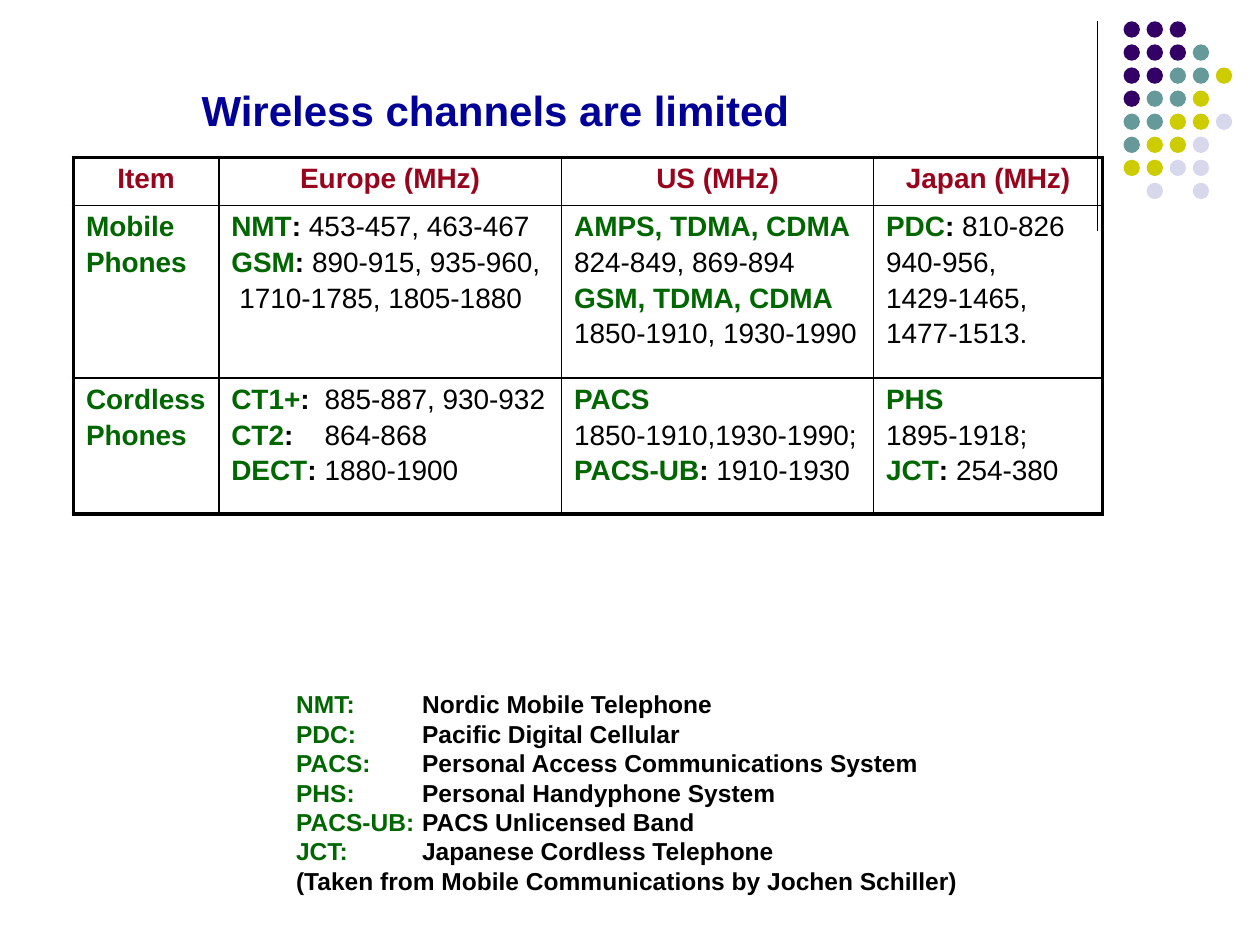
from dataclasses import dataclass

from lxml import etree
from pptx import Presentation
from pptx.dml.color import RGBColor
from pptx.enum.shapes import MSO_CONNECTOR, MSO_SHAPE
from pptx.enum.text import MSO_ANCHOR, MSO_AUTO_SIZE, PP_ALIGN
from pptx.oxml.ns import qn
from pptx.util import Cm, Pt

LEFT, CENTER = PP_ALIGN.LEFT, PP_ALIGN.CENTER
TOP, MIDDLE = MSO_ANCHOR.TOP, MSO_ANCHOR.MIDDLE
NO_FIT = MSO_AUTO_SIZE.NONE
OVAL, STRAIGHT = MSO_SHAPE.OVAL, MSO_CONNECTOR.STRAIGHT

BLACK, GREEN, RED, NAVY = "000000", "006600", "98041D", "000099"
DOT_COLORS = {"P": "330066", "T": "669999", "Y": "CCCC00", "L": "D8D8EC"}
DOT_ROWS = ("PPP", "PPPT", "PPTTY", "PTTY", "TTYYL", "TYYL", "YYLL", " L L")


@dataclass
class Entry:
    """A line in a cell: green key, colon when a value follows, plain value."""
    key: str = ""
    value: str = ""
    tab: float = 0
    indent: float = 0


@dataclass
class Border:
    side: str
    width: float


HEADERS = ("Item", "Europe (MHz)", "US (MHz)", "Japan (MHz)")
COL_WIDTHS = (2.93, 6.91, 6.29, 4.62)
ROW_HEIGHTS = (0.97, 3.48, 2.74)
ROWS = (
    (
        (Entry("Mobile"), Entry("Phones")),
        (Entry("NMT", "453-457, 463-467"),
         Entry("GSM", "890-915, 935-960,"),
         Entry(value="1710-1785, 1805-1880", indent=0.16)),
        (Entry("AMPS, TDMA, CDMA"), Entry(value="824-849, 869-894"),
         Entry("GSM, TDMA, CDMA"), Entry(value="1850-1910, 1930-1990")),
        (Entry("PDC", "810-826"), Entry(value="940-956,"),
         Entry(value="1429-1465,"), Entry(value="1477-1513.")),
    ),
    (
        (Entry("Cordless"), Entry("Phones")),
        (Entry("CT1+", "885-887, 930-932", tab=1.88),
         Entry("CT2", "864-868", tab=1.88),
         Entry("DECT", "1880-1900", tab=1.88)),
        (Entry("PACS"), Entry(value="1850-1910,1930-1990;"),
         Entry("PACS-UB", "1910-1930")),
        (Entry("PHS"), Entry(value="1895-1918;"), Entry("JCT", "254-380")),
    ),
)
LEGEND = (
    ("NMT:", "Nordic Mobile Telephone"),
    ("PDC:", "Pacific Digital Cellular"),
    ("PACS:", "Personal Access Communications System"),
    ("PHS:", "Personal Handyphone System"),
    ("PACS-UB:", "PACS Unlicensed Band"),
    ("JCT:", "Japanese Cordless Telephone"),
)
SOURCE = "(Taken from Mobile Communications by Jochen Schiller)"


def rgb(color: str) -> RGBColor:
    return RGBColor.from_string(color)


def set_all(obj, values: dict) -> None:
    for name, value in values.items():
        setattr(obj, name, value)


def add_run(p, text: str, size: float, color: str, bold: bool = True) -> None:
    r = p.add_run()
    r.text = text
    set_all(r.font, {"name": "Arial", "size": Pt(size), "bold": bold})
    r.font.color.rgb = rgb(color)


def add_tab_stop(p, pos: float) -> None:
    tabs = etree.SubElement(p._p.get_or_add_pPr(), qn("a:tabLst"))
    etree.SubElement(tabs, qn("a:tab"), pos=str(Cm(pos)), algn="l")


def next_paragraph(tf, index: int):
    return tf.add_paragraph() if index else tf.paragraphs[0]


def add_title(s) -> None:
    title = s.shapes.title
    set_all(title, {"left": Cm(3.81), "top": Cm(1.27),
                    "width": Cm(13.54), "height": Cm(1.9)})
    tf = title.text_frame
    set_all(tf, {"vertical_anchor": MIDDLE, "auto_size": NO_FIT, "word_wrap": True})
    p = tf.paragraphs[0]
    p.alignment = LEFT
    add_run(p, "Wireless channels are limited", 24, NAVY)


def add_corner_decoration(s) -> None:
    line = s.shapes.add_connector(STRAIGHT, Cm(22.12), Cm(0.43), Cm(22.12), Cm(4.65))
    line.line.color.rgb = rgb(BLACK)
    line.line.width = Pt(0.75)
    etree.SubElement(line._element.spPr, qn("a:effectLst"))
    pitch, size = 0.465, 0.33
    for row, codes in enumerate(DOT_ROWS):
        for col, code in enumerate(codes):
            if code not in DOT_COLORS:
                continue
            dot = s.shapes.add_shape(OVAL, Cm(22.65 + col * pitch),
                                     Cm(0.43 + row * pitch), Cm(size), Cm(size))
            dot.shadow.inherit = False
            dot.fill.solid()
            dot.fill.fore_color.rgb = rgb(DOT_COLORS[code])
            dot.line.fill.background()


def set_border(cell, border: Border) -> None:
    ln = etree.SubElement(cell._tc.get_or_add_tcPr(), qn(f"a:ln{border.side}"),
                          w=str(Pt(border.width)))
    fill = etree.SubElement(ln, qn("a:solidFill"))
    etree.SubElement(fill, qn("a:srgbClr"), val=BLACK)


def fill_cell(cell, entries: tuple[Entry, ...]) -> None:
    for i, entry in enumerate(entries):
        p = next_paragraph(cell.text_frame, i)
        if entry.tab:
            add_tab_stop(p, entry.tab)
        if entry.indent:
            p._p.get_or_add_pPr().set("marL", str(Cm(entry.indent)))
        if i:
            p.space_before = Pt(2.6)
        if entry.key:
            add_run(p, entry.key, 16, GREEN)
        if entry.key and entry.value:
            add_run(p, ":\t" if entry.tab else ": ", 16, BLACK)
        if entry.value:
            add_run(p, entry.value, 16, BLACK, bold=False)


def add_channel_table(s) -> None:
    n_rows, n_cols = len(ROW_HEIGHTS), len(COL_WIDTHS)
    table = s.shapes.add_table(n_rows, n_cols, Cm(1.48), Cm(3.17),
                               Cm(sum(COL_WIDTHS)), Cm(sum(ROW_HEIGHTS))).table
    set_all(table, {"first_row": False, "horz_banding": False})
    for column, width in zip(table.columns, COL_WIDTHS):
        column.width = Cm(width)
    for row, height in zip(table.rows, ROW_HEIGHTS):
        row.height = Cm(height)
    for r in range(n_rows):
        for c in range(n_cols):
            cell = table.cell(r, c)
            outer = {"L": c == 0, "R": c == n_cols - 1,
                     "T": r == 0, "B": r == n_rows - 1}
            for side, is_outer in outer.items():
                set_border(cell, Border(side, 2.25 if is_outer else 1))
            cell.fill.background()
            if r:
                fill_cell(cell, ROWS[r - 1][c])
            else:
                p = cell.text_frame.paragraphs[0]
                p.alignment = CENTER
                add_run(p, HEADERS[c], 16, RED)


def add_legend(s) -> None:
    tf = s.shapes.add_textbox(Cm(5.72), Cm(13.77), Cm(15.67), Cm(4.4)).text_frame
    set_all(tf, {"word_wrap": True, "vertical_anchor": TOP})
    for i, (key, meaning) in enumerate((*LEGEND, ("", SOURCE))):
        p = next_paragraph(tf, i)
        if key:
            add_tab_stop(p, 2.54)
            add_run(p, f"{key}\t", 14, GREEN)
        p.line_spacing = Pt(16.8)
        add_run(p, meaning, 14, BLACK)


def main() -> None:
    prs = Presentation()
    set_all(prs, {"slide_width": Cm(25.4), "slide_height": Cm(19.05)})
    s = prs.slides.add_slide(prs.slide_layouts[5])
    add_corner_decoration(s)
    add_title(s)
    add_channel_table(s)
    add_legend(s)
    prs.save("out.pptx")


if __name__ == "__main__":
    main()
